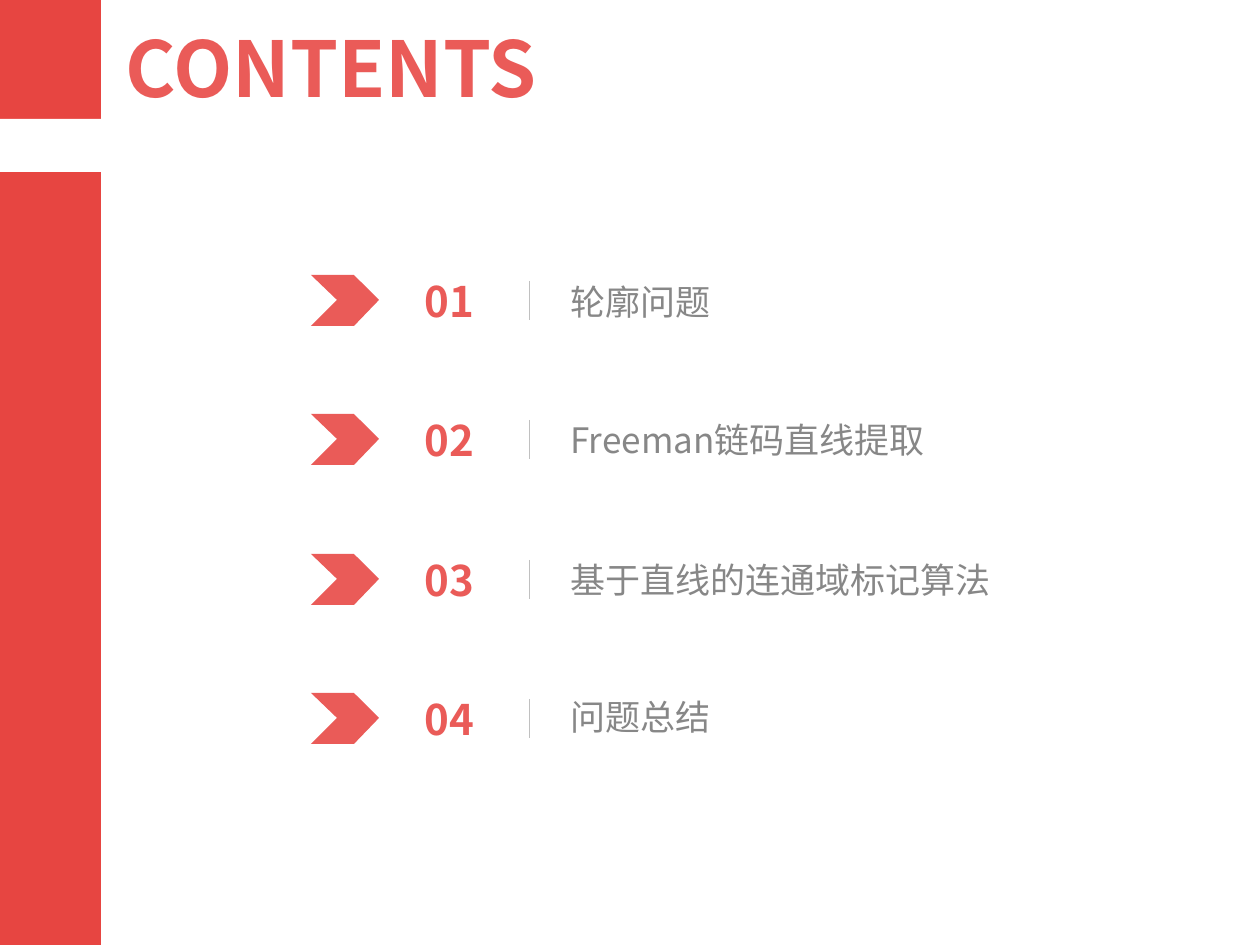
from lxml.etree import SubElement
from pptx import Presentation
from pptx.dml.color import RGBColor
from pptx.enum.shapes import MSO_CONNECTOR, MSO_SHAPE
from pptx.enum.text import MSO_ANCHOR, MSO_AUTO_SIZE, PP_ALIGN
from pptx.oxml.ns import qn
from pptx.util import Emu, Pt

PX = 914400 // 126  # EMU in one px
FONT = "Noto Sans CJK SC"
COLORS = {
    "bar": "E74541",
    "accent": "EA5B58",
    "label": "878787",
    "divider": "C0C0C0",
    "white": "FFFFFF",
}
TOPICS = ["轮廓问题", "Freeman链码直线提取", "基于直线的连通域标记算法", "问题总结"]
LAST_LABEL_SHIFT = -2  # the last label sits slightly higher

FIRST_ROW_TOP = 251
TWO_ROWS = 279  # height of two rows
ROW_HEIGHT = 100


def px(*values):
    return [Emu(value * PX) for value in values]


def color(name):
    return RGBColor.from_string(COLORS[name])


def paint(shape, fill):
    shape.shadow.inherit = False
    shape.fill.solid()
    shape.fill.fore_color.rgb = color(fill)
    shape.line.fill.background()


def add_bar(slide, top, height, fill):
    bar = slide.shapes.add_shape(MSO_SHAPE.RECTANGLE, *px(0, top, 101, height))
    paint(bar, fill)


def write(shape, text, size, text_color, bold=False, align=PP_ALIGN.LEFT):
    frame = shape.text_frame
    frame.word_wrap = True
    frame.auto_size = MSO_AUTO_SIZE.NONE
    frame.vertical_anchor = MSO_ANCHOR.MIDDLE
    frame.text = text
    paragraph = frame.paragraphs[0]
    paragraph.alignment = align
    font = paragraph.font
    font.size = Pt(size)
    font.bold = bold
    font.color.rgb = color(text_color)
    font.name = FONT
    # Chinese glyphs take the East Asian typeface
    properties = paragraph._p.pPr.find(qn("a:defRPr"))
    SubElement(properties, qn("a:ea"), typeface=FONT)


def add_title(slide, text):
    title = slide.shapes.title
    title.left, title.top, title.width, title.height = px(113, 14, 615, 106)
    write(title, text, 44, "accent", bold=True)


def add_text(slide, box, text, size, text_color, **style):
    write(slide.shapes.add_textbox(*px(*box)), text, size, text_color, **style)


def add_divider(slide, x, top, bottom):
    line = slide.shapes.add_connector(MSO_CONNECTOR.STRAIGHT, *px(x, top, x, bottom))
    line.line.color.rgb = color("divider")
    line.line.width = Pt(0.5)
    SubElement(line._element.spPr, qn("a:effectLst"))


def add_arrow(slide, left, top):
    outline = [(43, 0), (68, 25), (43, 51), (0, 51), (26, 25)]
    builder = slide.shapes.build_freeform(left, top, scale=PX)
    builder.add_line_segments([(left + x, top + y) for x, y in outline], close=True)
    paint(builder.convert_to_shape(), "accent")


def add_topic(slide, number, text, top, label_top):
    add_text(slide, (379, top, 141, ROW_HEIGHT), f"{number:02}", 24, "accent",
             bold=True, align=PP_ALIGN.CENTER)
    add_divider(slide, 530, top + 30, top + 69)
    add_text(slide, (558, label_top, 737, ROW_HEIGHT), text, 20, "label")
    add_arrow(slide, 311, top + 24)


def main():
    presentation = Presentation()
    presentation.slide_width, presentation.slide_height = px(1260, 945)
    slide = presentation.slides.add_slide(presentation.slide_layouts[5])

    # Side bar with its white gap
    add_bar(slide, -4, 949, "bar")
    add_bar(slide, 119, 53, "white")

    add_title(slide, "CONTENTS")

    # Numbered topics
    for index, text in enumerate(TOPICS):
        top = FIRST_ROW_TOP + index * TWO_ROWS // 2
        shift = LAST_LABEL_SHIFT if index == len(TOPICS) - 1 else 0
        add_topic(slide, index + 1, text, top, top + shift)

    presentation.save("out.pptx")


if __name__ == "__main__":
    main()
